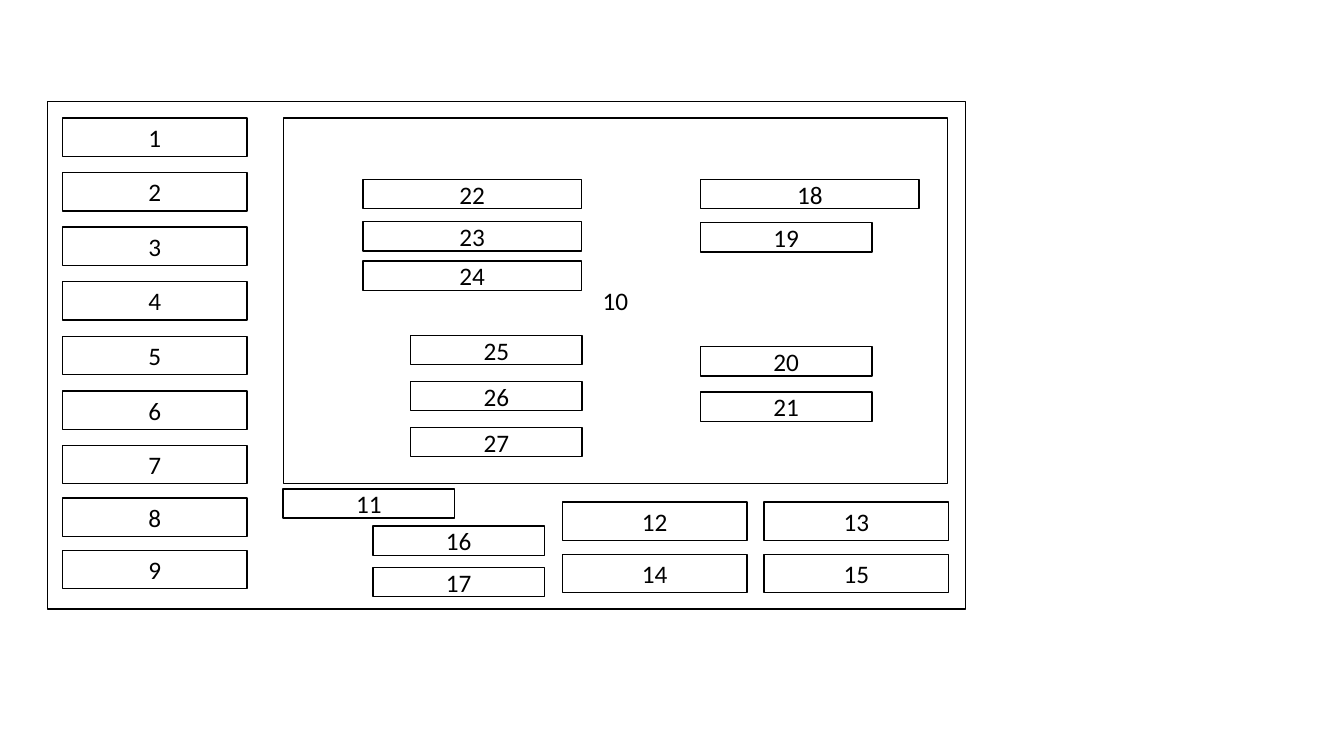
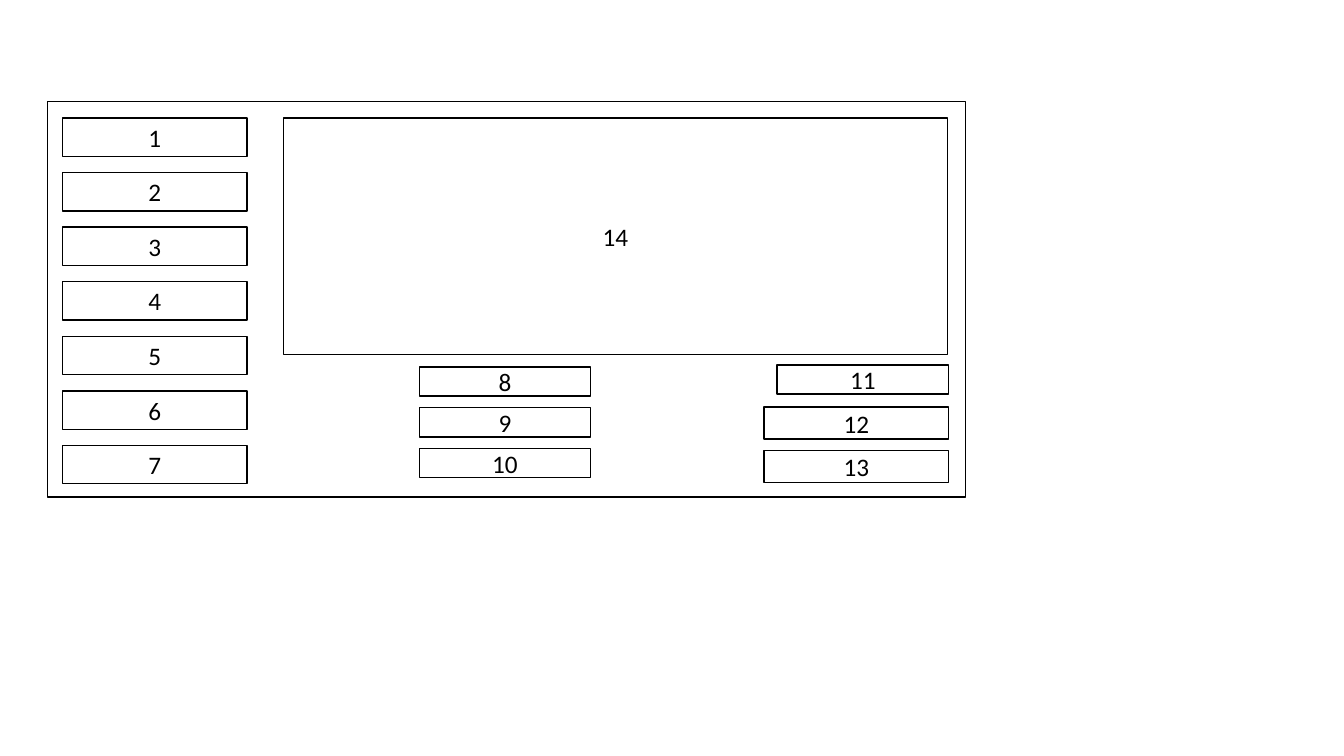
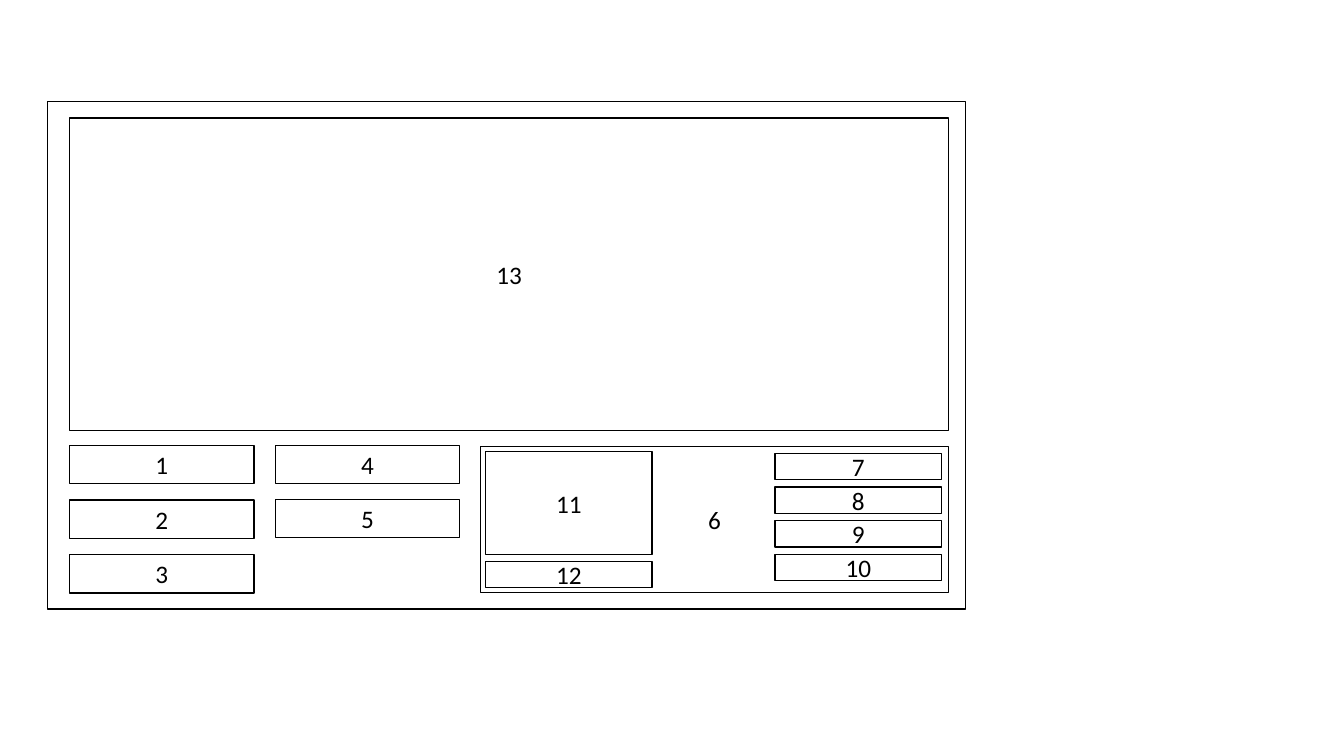
from dataclasses import dataclass

from pptx import Presentation
from pptx.dml.color import RGBColor
from pptx.enum.shapes import MSO_SHAPE
from pptx.enum.text import MSO_ANCHOR, PP_ALIGN
from pptx.slide import Slide
from pptx.util import Pt

RECTANGLE = MSO_SHAPE.RECTANGLE
CENTER = PP_ALIGN.CENTER
MIDDLE = MSO_ANCHOR.MIDDLE

PAPER = "FFFFFF"
INK = "000000"
LABEL_FORMAT = {"name": "Calibri", "size": Pt(18)}


@dataclass(frozen=True)
class Size:
    width: float
    height: float


@dataclass(frozen=True)
class Field:
    first: int | None
    left: float
    top: float
    size: Size
    rows: int = 1
    row_pitch: float = 0
    columns: int = 1
    column_pitch: float = 0


BUTTON = Size(131.8, 27.4)
LOW_BUTTON = Size(131.8, 23)
ENTRY = Size(122.4, 20.9)
WIDE_ENTRY = Size(156.2, 20.9)
DETAIL = Size(118.8, 18.7)

FRAME_LEFT, FRAME_TOP, FRAME_WIDTH = 33.8, 72.7, 655.9
TALL_FRAME, SHORT_FRAME = 362.2, 282.2
MENU_LEFT, MENU_TOP, MENU_PITCH = 44.6, 84.2, 39
PANEL_LEFT, PANEL_WIDTH = 202.3, 474.5
ACTION_LEFT = 545.8
RESULT_LEFT = 500.4
INPUT_LEFT = 259.2
GRID_LEFT, GRID_TOP = 49.7, 318.2
DETAIL_LEFT = 347


def frame(height: float) -> Field:
    return Field(None, FRAME_LEFT, FRAME_TOP, Size(FRAME_WIDTH, height))


def panel(number: int, height: float) -> Field:
    return Field(number, PANEL_LEFT, MENU_TOP, Size(PANEL_WIDTH, height))


MENU = Field(1, MENU_LEFT, MENU_TOP, BUTTON, rows=7, row_pitch=MENU_PITCH)

SCREENS = [
    [
        frame(TALL_FRAME),
        MENU,
        Field(8, MENU_LEFT, 355.7, BUTTON, rows=2, row_pitch=37.4),
        panel(10, 261.4),
        Field(11, PANEL_LEFT, 349.2, ENTRY),
        Field(12, 401.8, 358.6, BUTTON, rows=2, row_pitch=37.4,
              columns=2, column_pitch=144),
        Field(16, 266.4, 375.8, ENTRY, rows=2, row_pitch=29.5),
        Field(18, RESULT_LEFT, 128.2, WIDE_ENTRY),
        Field(19, RESULT_LEFT, 159.1, ENTRY),
        Field(20, RESULT_LEFT, 247.7, ENTRY, rows=2, row_pitch=32.4),
        Field(22, INPUT_LEFT, 128.2, WIDE_ENTRY),
        Field(23, INPUT_LEFT, 158.4, WIDE_ENTRY, rows=2, row_pitch=28.1),
        Field(25, 293.4, 239.6, ENTRY, rows=3, row_pitch=32.8),
    ],
    [
        frame(SHORT_FRAME),
        MENU,
        panel(14, 169.2),
        Field(8, 299.5, 262, ENTRY, rows=3, row_pitch=29.2),
        Field(11, 555.1, 260.6, ENTRY),
        Field(12, ACTION_LEFT, 290.6, LOW_BUTTON, rows=2, row_pitch=31.2),
    ],
    [
        frame(TALL_FRAME),
        Field(1, GRID_LEFT, GRID_TOP, BUTTON, rows=3, row_pitch=MENU_PITCH),
        Field(4, 196.6, GRID_TOP, BUTTON, rows=2, row_pitch=38.4),
        Field(13, GRID_LEFT, MENU_TOP, Size(627.8, 223.2)),
        Field(6, 343.4, 319, Size(334.1, 104.4)),
        Field(7, 553.7, 324, DETAIL, rows=4, row_pitch=24),
        Field(11, DETAIL_LEFT, 322.6, Size(DETAIL.width, 73.4)),
        Field(12, DETAIL_LEFT, 401, DETAIL),
    ],
]


def color(value: str) -> RGBColor:
    return RGBColor.from_string(value)


def draw_box(slide: Slide, left: float, top: float, size: Size,
             number: int | None) -> None:
    box = slide.shapes.add_shape(
        RECTANGLE, Pt(left), Pt(top), Pt(size.width), Pt(size.height))
    box.shadow.inherit = False
    box.fill.solid()
    box.fill.fore_color.rgb = color(PAPER)
    box.line.color.rgb = color(INK)
    box.line.width = Pt(1)
    if number is None:
        return
    box.text_frame.vertical_anchor = MIDDLE
    label = box.text_frame.paragraphs[0]
    label.alignment = CENTER
    digits = label.add_run()
    digits.text = str(number)
    for attribute, value in LABEL_FORMAT.items():
        setattr(digits.font, attribute, value)
    digits.font.color.rgb = color(INK)


def draw_field(slide: Slide, field: Field) -> None:
    for index in range(field.rows * field.columns):
        row, column = divmod(index, field.columns)
        number = None if field.first is None else field.first + index
        draw_box(slide, field.left + column * field.column_pitch,
                 field.top + row * field.row_pitch, field.size, number)


def main() -> None:
    deck = Presentation()
    deck.slide_width, deck.slide_height = Pt(960), Pt(540)
    blank = deck.slide_layouts[6]
    for screen in SCREENS:
        slide = deck.slides.add_slide(blank)
        for field in screen:
            draw_field(slide, field)
    deck.save("out.pptx")


main()
